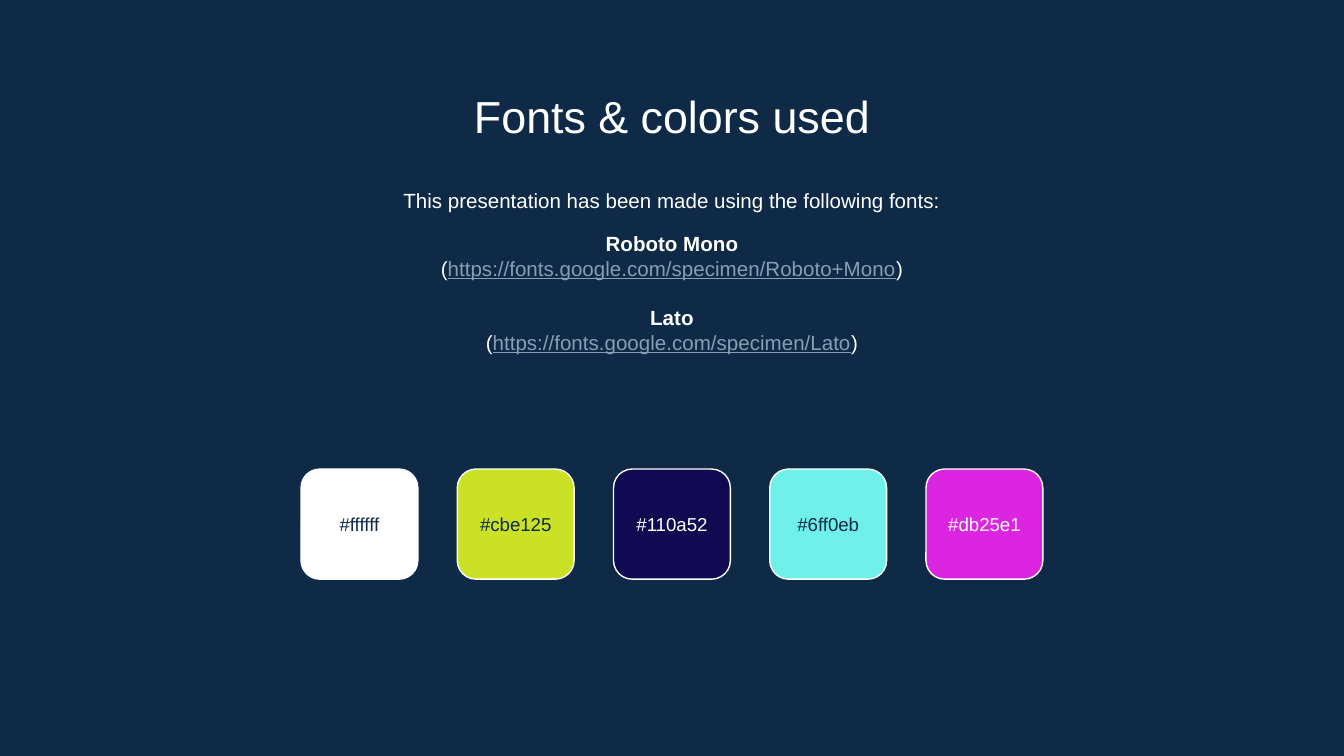
import pptx
import pptx.dml.color
import pptx.enum.shapes
import pptx.enum.text
import pptx.util
from dataclasses import dataclass

Pt = pptx.util.Pt
rgb = pptx.dml.color.RGBColor.from_string
CENTER = pptx.enum.text.PP_ALIGN.CENTER


@dataclass(frozen=True)
class Theme:
    font: str = "Arial"
    navy: str = "0E2A47"
    white: str = "FFFFFF"
    link: str = "869FB2"
    title_size: int = 24
    body_size: int = 11
    label_size: int = 10


theme = Theme()


def style(font, size, color, bold=False, underline=False):
    font.name = theme.font
    font.size = Pt(size)
    font.color.rgb = rgb(color)
    font.bold = bold
    font.underline = underline


def prepare_frame(frame):
    frame.word_wrap = True
    frame.margin_left = frame.margin_right = Pt(7.2)
    frame.margin_top = frame.margin_bottom = Pt(7.2)


# Slide and background
deck = pptx.Presentation()
deck.slide_width, deck.slide_height = Pt(720), Pt(405)
slide = deck.slides.add_slide(deck.slide_layouts[6])
slide.background.fill.solid()
slide.background.fill.fore_color.rgb = rgb(theme.navy)

# Title
title = slide.shapes.add_textbox(Pt(57), Pt(40.3), Pt(606), Pt(38.2)).text_frame
prepare_frame(title)
title.text = "Fonts & colors used"
title.paragraphs[0].alignment = CENTER
style(title.paragraphs[0].runs[0].font, theme.title_size, theme.white)

# Fonts with their addresses
fonts = slide.shapes.add_textbox(Pt(57), Pt(93.6), Pt(606), Pt(115.2)).text_frame
prepare_frame(fonts)
fonts.text = "This presentation has been made using the following fonts:"
intro = fonts.paragraphs[0]
intro.alignment = CENTER
style(intro.runs[0].font, theme.body_size, theme.white)

for font_name, address, gap in [
    ("Roboto Mono", "https://fonts.google.com/specimen/Roboto+Mono", 10),
    ("Lato", "https://fonts.google.com/specimen/Lato", 13),
]:
    heading = fonts.add_paragraph()
    heading.text = font_name
    heading.alignment = CENTER
    heading.space_before = Pt(gap)
    style(heading.runs[0].font, theme.body_size, theme.white, bold=True)

    source = fonts.add_paragraph()
    source.alignment = CENTER
    for part in ("(", address, ")"):
        run = source.add_run()
        run.text = part
        is_link = part == address
        color = theme.link if is_link else theme.white
        style(run.font, theme.body_size, color, underline=is_link)

# Color swatches, centered in a row
swatches = [
    ("#ffffff", theme.navy),
    ("#cbe125", theme.navy),
    ("#110a52", theme.white),
    ("#6ff0eb", theme.navy),
    ("#db25e1", theme.white),
]
swatch_width, swatch_height, swatch_step = 62.6, 59, 83.7
row_width = swatch_step * (len(swatches) - 1) + swatch_width
row_left = (720 - row_width) / 2

for index, (code, label_color) in enumerate(swatches):
    swatch = slide.shapes.add_shape(
        pptx.enum.shapes.MSO_SHAPE.ROUNDED_RECTANGLE,
        Pt(row_left + index * swatch_step), Pt(251.3),
        Pt(swatch_width), Pt(swatch_height),
    )
    swatch.adjustments[0] = 0.17
    swatch.shadow.inherit = False
    swatch.fill.solid()
    swatch.fill.fore_color.rgb = rgb(code[1:].upper())
    swatch.line.color.rgb = rgb(theme.white)
    swatch.line.width = Pt(0.75)

    label = swatch.text_frame
    prepare_frame(label)
    label.vertical_anchor = pptx.enum.text.MSO_ANCHOR.MIDDLE
    label.text = code
    label.paragraphs[0].alignment = CENTER
    style(label.paragraphs[0].runs[0].font, theme.label_size, label_color)

deck.save("out.pptx")
